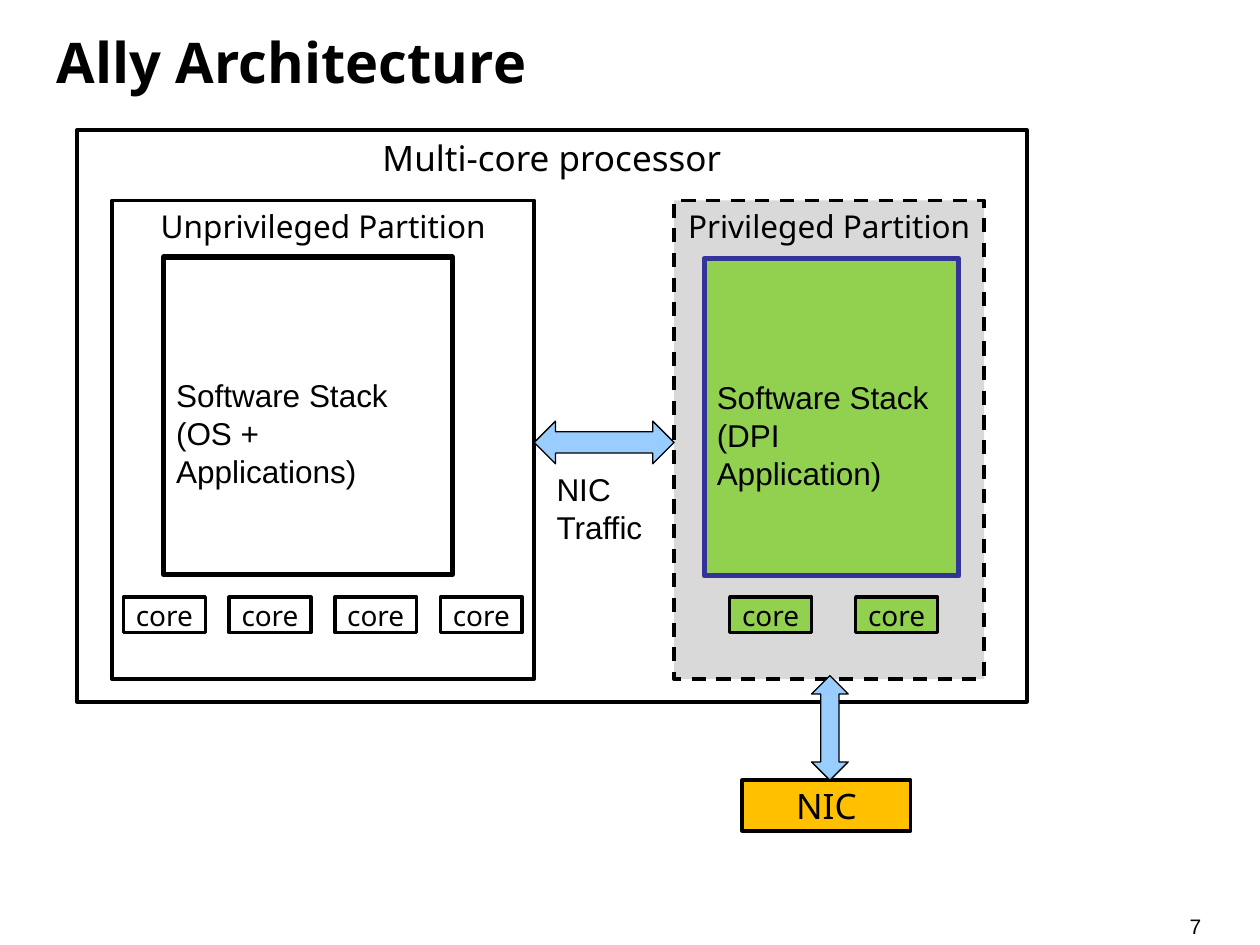
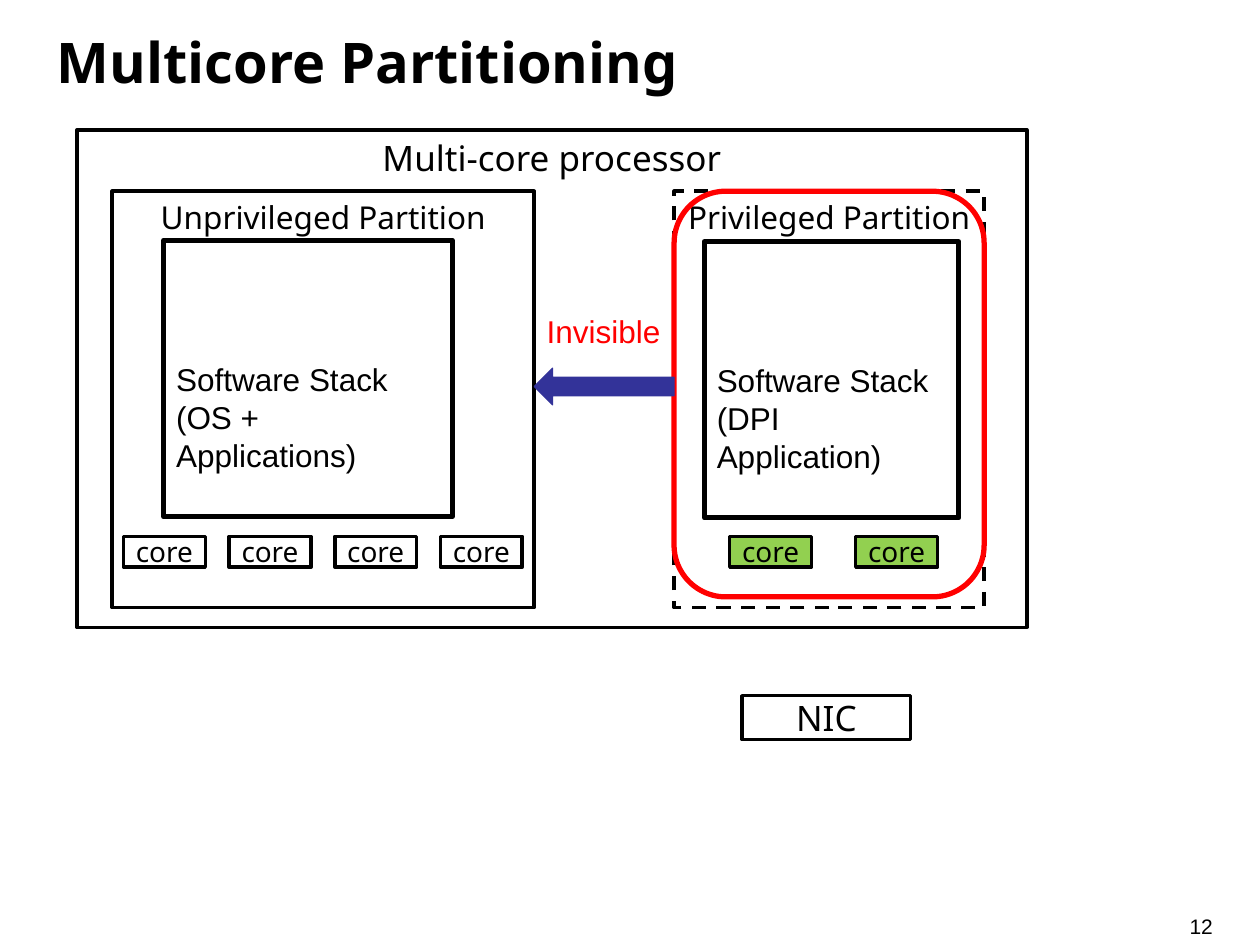
"""Two slides on partitioning a multi-core processor."""
import collections

import pptx
import pptx.dml.color
import pptx.enum.dml
import pptx.enum.shapes
import pptx.enum.text
import pptx.util

Cm = pptx.util.Cm
SHAPES = pptx.enum.shapes.MSO_SHAPE
ALIGN = pptx.enum.text.PP_ALIGN
ANCHOR = pptx.enum.text.MSO_ANCHOR

BLACK, RED, NAVY, SKY = "000000", "FF0000", "333399", "99CCFF"
GREEN, GREY, AMBER = "92D050", "D9D9D9", "FFC000"
HEADING_FONT, BODY_FONT = "Noto Sans", "Arial"
FULL_HEIGHT = 11.53  # processor height at which the vertical scale is 1

# Lengths in centimetres; scale stretches everything vertical inside the box.
Box = collections.namedtuple("Box", "left top width height scale")


def inside(box, left, top, width, height):
    """Return a box placed relative to another one, in its vertical scale."""
    return Box(box.left + left, box.top + top * box.scale,
               width, height * box.scale, box.scale)


def colour(hex_string):
    """Turn a hex string into a colour."""
    return pptx.dml.color.RGBColor.from_string(hex_string)


def set_text(shape, lines, size, font=HEADING_FONT, text_colour=BLACK, bold=False,
             align=ALIGN.LEFT, anchor=ANCHOR.TOP, margins=(0.25, 0.13), wrap=True):
    """Fill a shape with one paragraph per line and format its runs."""
    frame = shape.text_frame
    frame.word_wrap = wrap
    frame.vertical_anchor = anchor
    frame.margin_left = frame.margin_right = Cm(margins[0])
    frame.margin_top = frame.margin_bottom = Cm(margins[1])
    frame.text = "\n".join(lines)
    for paragraph in frame.paragraphs:
        paragraph.alignment = align
        for run in paragraph.runs:
            run.font.name, run.font.size = font, pptx.util.Pt(size)
            run.font.bold = bold
            run.font.color.rgb = colour(text_colour)


def add_shape(slide, kind, box, fill=None, line=BLACK, weight=2, dashed=False):
    """Add an outlined preset shape, unfilled unless a fill is given."""
    shape = slide.shapes.add_shape(kind, *(Cm(length) for length in box[:4]))
    shape.shadow.inherit = False
    if fill:
        shape.fill.solid()
        shape.fill.fore_color.rgb = colour(fill)
    else:
        shape.fill.background()
    shape.line.color.rgb = colour(line)
    shape.line.width = pptx.util.Pt(weight)
    if dashed:
        shape.line.dash_style = pptx.enum.dml.MSO_LINE.DASH
    return shape


def add_block(slide, box, text, size, anchor=ANCHOR.MIDDLE, **style):
    """Add a rectangle with a centred heading."""
    block = add_shape(slide, SHAPES.RECTANGLE, box, **style)
    set_text(block, [text], size, align=ALIGN.CENTER, anchor=anchor,
             margins=(0.13, 0.13))


def add_label(slide, box, text, size=18, **style):
    """Add a plain text box."""
    label = slide.shapes.add_textbox(*(Cm(length) for length in box[:4]))
    set_text(label, [text], size, BODY_FONT, **style)


def add_stack(slide, box, detail, **style):
    """Add a software stack, its text set in the lower part."""
    stack = add_shape(slide, SHAPES.RECTANGLE, box, weight=3, **style)
    set_text(stack, ["Software Stack ", detail], 18, BODY_FONT)
    stack.text_frame.margin_top = Cm(2.41)


def add_cores(slide, box, count, first, step, fill=None):
    """Add a row of equally spaced cores at the foot of a partition."""
    for index in range(count):
        core = inside(box, first + index * step, 8, 1.65, 0.71)
        add_block(slide, core, "core", 16, fill=fill)


def add_unprivileged(slide, box):
    """Draw the partition that runs the operating system."""
    add_block(slide, box, "Unprivileged Partition", 18, ANCHOR.TOP)
    add_stack(slide, inside(box, 1.04, 1.14, 5.82, 6.4), "(OS + Applications)")
    add_cores(slide, box, count=4, first=0.23, step=2.13)


def add_privileged(slide, box, fill, stack_fill, stack_line):
    """Draw the dashed partition that runs packet inspection."""
    add_block(slide, box, "Privileged Partition", 18, ANCHOR.TOP,
              fill=fill, dashed=True)
    add_stack(slide, inside(box, 0.61, 1.17, 5.13, 6.4), "(DPI Application)",
              fill=stack_fill, line=stack_line)
    add_cores(slide, box, count=2, first=1.12, step=2.54, fill=GREEN)


def add_processor(slide, height, partition_fill=None, stack_fill=None,
                  stack_line=BLACK, nic_fill=None):
    """Draw processor and NIC; return the processor and privileged boxes."""
    processor = Box(1.55, 2.62, 19.15, height, height / FULL_HEIGHT)
    privileged = inside(processor, 12.04, 1.42, 6.25, 9.65)
    add_block(slide, processor, "Multi-core processor", 20, ANCHOR.TOP)
    add_unprivileged(slide, inside(processor, 0.71, 1.42, 8.51, 9.65))
    add_privileged(slide, privileged, partition_fill, stack_fill, stack_line)
    add_block(slide, inside(processor, 13.41, 13.11, 3.4, 1.02), "NIC", 20,
              fill=nic_fill)
    return processor, privileged


def add_titled_slide(presentation, title, number):
    """Add a slide with its title and page number."""
    slide = presentation.slides.add_slide(presentation.slide_layouts[5])
    heading = slide.shapes.title
    heading.left, heading.top = Cm(0.89), Cm(0.18)
    heading.width, heading.height = Cm(23.65), Cm(2.11)
    set_text(heading, [title], 32, bold=True, anchor=ANCHOR.MIDDLE)
    add_label(slide, Box(23.98, 18.42, 1.3, 0.51, 1), str(number), 12,
              margins=(0, 0))
    return slide


def add_architecture_slide(presentation):
    """Show the traffic between both partitions and the NIC."""
    slide = add_titled_slide(presentation, "Ally Architecture", 7)
    processor, _ = add_processor(slide, FULL_HEIGHT, GREY, GREEN, NAVY, AMBER)
    arrow_style = {"fill": SKY, "weight": 0.75}
    add_shape(slide, SHAPES.LEFT_RIGHT_ARROW,
              inside(processor, 9.22, 5.87, 2.82, 0.86), **arrow_style)
    add_label(slide, inside(processor, 9.42, 6.73, 3.23, 1.8), "NIC Traffic")
    add_shape(slide, SHAPES.UP_DOWN_ARROW,
              inside(processor, 14.81, 11, 0.74, 2.11), **arrow_style)


def add_partitioning_slide(presentation):
    """Show that the privileged partition is hidden from the other one."""
    slide = add_titled_slide(presentation, "Multicore Partitioning", 12)
    processor, privileged = add_processor(slide, 10.03)
    add_shape(slide, SHAPES.ROUNDED_RECTANGLE,
              inside(privileged, 0, 0, privileged.width, 9.4), line=RED, weight=3)
    add_shape(slide, SHAPES.LEFT_ARROW, inside(processor, 9.22, 5.52, 2.82, 0.85),
              fill=NAVY, line=NAVY, weight=0.75)
    add_label(slide, inside(processor, 9.22, 4.06, 2.82, 1.02), "Invisible",
              text_colour=RED, wrap=False)


def main():
    """Build and save the presentation."""
    presentation = pptx.Presentation()
    presentation.slide_width, presentation.slide_height = Cm(25.4), Cm(19.05)
    add_architecture_slide(presentation)
    add_partitioning_slide(presentation)
    presentation.save("out.pptx")


main()
